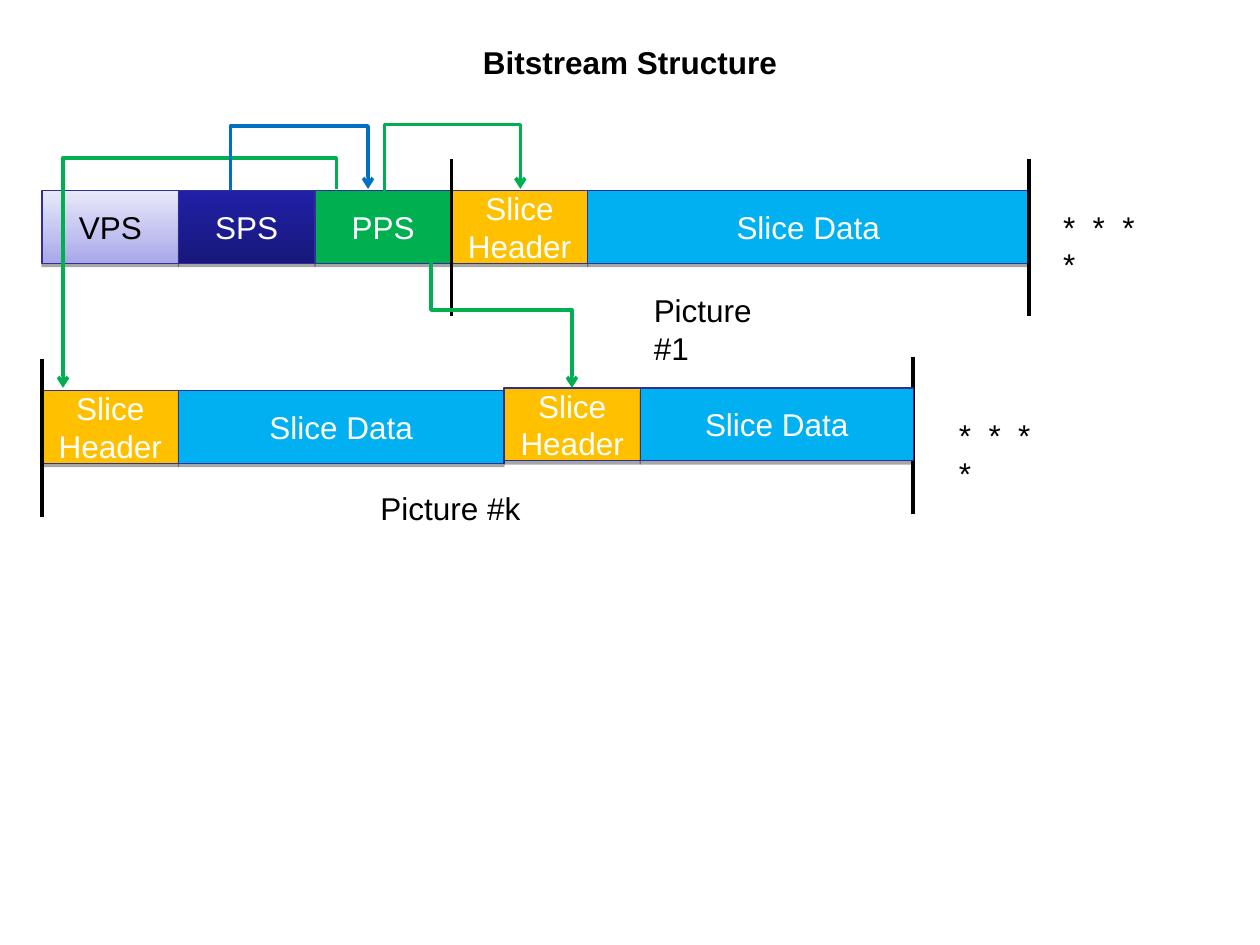
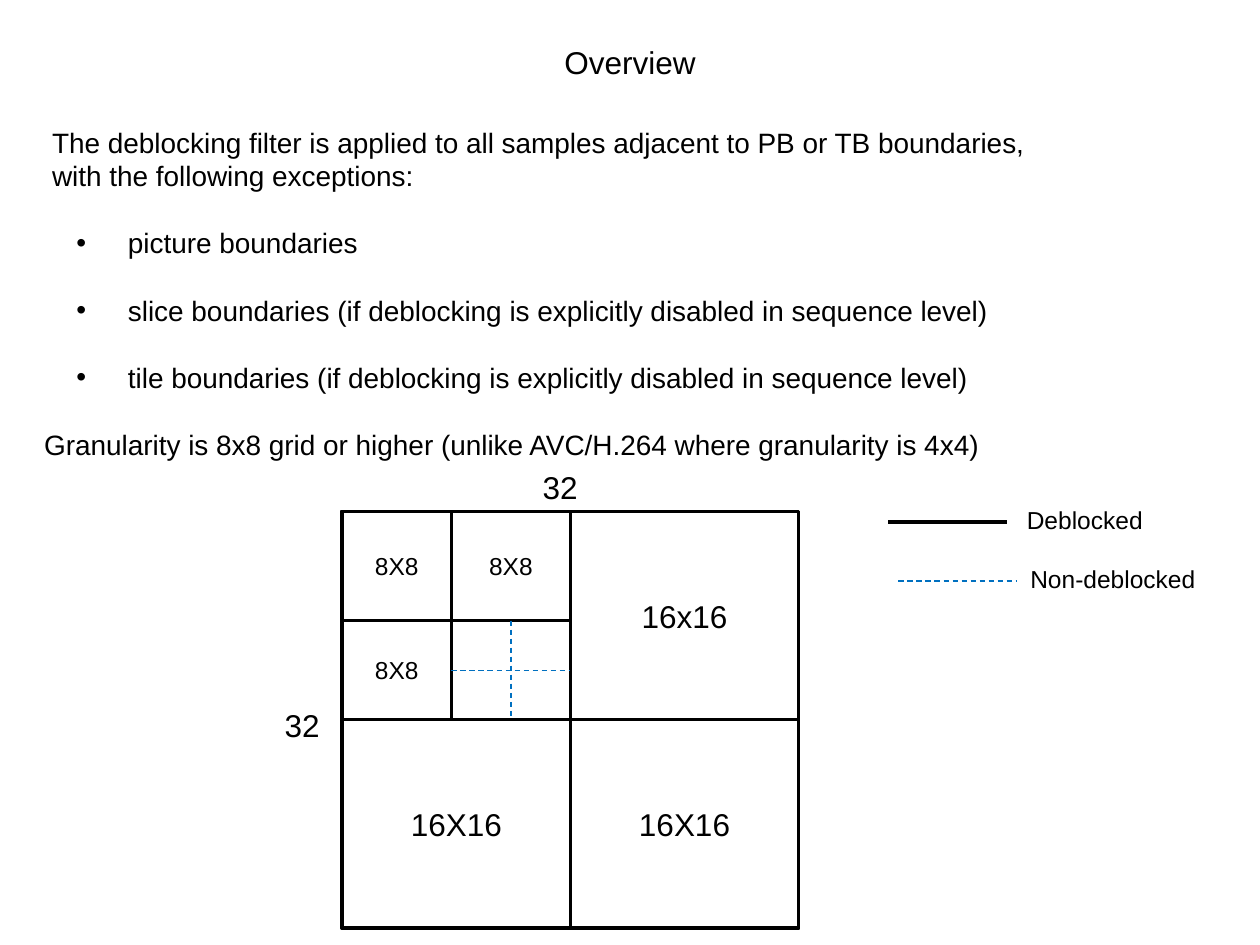
from lxml import etree
from pptx import Presentation
from pptx import util as u
from pptx.dml.color import RGBColor
from pptx.enum import dml, shapes, text
from pptx.oxml import ns

FONT = "Arial"
COLORS = {
    "black": "000000", "white": "FFFFFF", "outline": "2F2F98",
    "green": "00B050", "amber": "FFC000", "sky": "00B0F0", "blue": "0070C0",
    "lilac": "A8A8EA", "pale": "E8E8FA", "navy": "18187C", "indigo": "2020A6",
}

# Bitstream slide: all lengths in cm
UNIT_HEIGHT = 1.47
HEADER = ("Slice Header", 2.75, "amber", "white")
# Each row: left, top, units of (label, width, fill or gradient, font colour)
ROWS_BEHIND_BARS = [
    (0.85, 3.84, [("VPS", 2.75, ("lilac", "pale"), "black"),
                  ("SPS", 2.75, ("navy", "indigo"), "white"),
                  ("PPS", 2.75, "green", "white"),
                  HEADER,
                  ("Slice Data", 8.89, "sky", "white")]),
    (0.85, 7.87, [HEADER, ("Slice Data", 6.56, "sky", "white")]),
]
ROWS_OVER_BARS = [
    (10.16, 7.82, [HEADER, ("Slice Data", 5.5, "sky", "white")]),
]
BAR_HEIGHT = 3.18
PICTURE_BARS = [(9.1, 3.2), (20.74, 3.2), (0.85, 7.24), (18.41, 7.19)]
PICTURE_LABELS = [("Picture #1", 12.93, 5.74, 3.35),
                  ("Picture #k", 7.42, 9.73, 3.33)]
CONTINUATIONS = [(21.18, 4.06), (19.08, 8.26)]
# Start, end, height of the horizontal part, colour
REFERENCES = [
    ((7.75, 3.86), (10.49, 3.81), 2.51, "green"),
    ((6.78, 3.81), (1.27, 7.82), 3.18, "green"),
    ((8.69, 4.65), (11.53, 7.82), 6.25, "green"),
    ((4.65, 3.84), (7.42, 3.81), 2.54, "blue"),
]

# Overview slide
# Each paragraph: text, left margin, first-line indent, space before, bullet
OVERVIEW = [
    ("The deblocking filter is applied to all samples adjacent to PB or TB boundaries,",
     0.16, 0, 0, False),
    ("with the following exceptions:", 0.16, 0, 0, False),
    ("picture boundaries", 1.69, -1.04, 19.2, True),
    ("slice boundaries (if deblocking is explicitly disabled in sequence level)",
     1.69, -1.04, 19.2, True),
    ("tile boundaries (if deblocking is explicitly disabled in sequence level)",
     1.69, -1.04, 19.2, True),
    ("Granularity is 8x8 grid or higher (unlike AVC/H.264 where granularity is 4x4)",
     0, 0, 19.2, False),
]
GRID_X = [6.9, 9.1, 11.5, 16.1]
GRID_Y = [10.31, 12.51, 14.51, 18.71]
# Left, top, right, bottom grid lines, label, text size
BLOCKS = [
    (0, 0, 3, 3, "", 18),
    (0, 0, 2, 2, "", 18),
    (2, 0, 3, 2, "16x16", 18),
    (0, 2, 2, 3, "16X16", 18),
    (2, 2, 3, 3, "16X16", 18),
    (0, 0, 1, 1, "8X8", 14),
    (1, 0, 2, 1, "8X8", 14),
    (0, 1, 1, 2, "8X8", 14),
]
SIZE_LABELS = [("32", 5.49, 14.1, 1.22), ("32", 10.69, 9.32, 1.22)]
# Label, label left, label top, label width, line left, line y, colour, width, dashed
LEGEND = [
    ("Deblocked", 20.45, 10.06, 2.84, 17.91, 10.52, "black", 2.25, False),
    ("Non-deblocked", 20.52, 11.25, 3.84, 18.11, 11.71, "blue", 0.75, True),
]
LEGEND_LENGTH = 2.38


def color(name):
    return RGBColor.from_string(COLORS[name])


def add_xml(parent, tag, **attributes):
    return etree.SubElement(parent, ns.qn(tag), attributes)


def write(paragraph, words, size, font_color="black", bold=False):
    run = paragraph.add_run()
    run.text = words
    run.font.name, run.font.size, run.font.bold = FONT, u.Pt(size), bold
    run.font.color.rgb = color(font_color)
    return run


def add_titled_slide(presentation, words, bold=False):
    slide = presentation.slides.add_slide(presentation.slide_layouts[5])
    title = slide.shapes.title
    title.left, title.top = u.Cm(1.27), u.Cm(0.2)
    title.width, title.height = u.Cm(22.86), u.Cm(2.11)
    title.text_frame.vertical_anchor = text.MSO_ANCHOR.MIDDLE
    paragraph = title.text_frame.paragraphs[0]
    paragraph.alignment = text.PP_ALIGN.CENTER
    write(paragraph, words, 18, bold=bold)
    return slide


def add_box(slide, left, top, width, height, fill, outline, line_width,
            label, size, font_color="black"):
    shape = slide.shapes.add_shape(shapes.MSO_SHAPE.RECTANGLE, u.Cm(left), u.Cm(top),
                                   u.Cm(width), u.Cm(height))
    shape.shadow.inherit = False
    if isinstance(fill, tuple):
        shape.fill.gradient()
        shape.fill.gradient_angle = 90
        for stop, name in zip(shape.fill.gradient_stops, fill):
            stop.color.rgb = color(name)
    else:
        shape.fill.solid()
        shape.fill.fore_color.rgb = color(fill)
    shape.line.color.rgb = color(outline)
    shape.line.width = u.Pt(line_width)
    if label:
        shape.text_frame.vertical_anchor = text.MSO_ANCHOR.MIDDLE
        paragraph = shape.text_frame.paragraphs[0]
        paragraph.alignment = text.PP_ALIGN.CENTER
        write(paragraph, label, size, font_color)
    return shape


def add_label(slide, words, left, top, width, size=18):
    box = slide.shapes.add_textbox(u.Cm(left), u.Cm(top), u.Cm(width), u.Cm(1))
    box.text_frame.word_wrap = False
    return write(box.text_frame.paragraphs[0], words, size)


def add_line(slide, start, end, line_color, width, dashed=False,
             kind=shapes.MSO_CONNECTOR.STRAIGHT):
    line = slide.shapes.add_connector(kind, *(u.Cm(value) for value in (*start, *end)))
    line.line.color.rgb = color(line_color)
    line.line.width = u.Pt(width)
    if dashed:
        line.line.dash_style = dml.MSO_LINE.DASH
    add_xml(line.element.spPr, "a:effectLst")
    return line


def add_reference(slide, start, end, via_y, line_color):
    """Elbow arrow that leaves vertically, crosses at via_y and arrives vertically."""
    arrow = add_line(slide, start, end, line_color, 2, kind=shapes.MSO_CONNECTOR.ELBOW)
    (x1, y1), (x2, y2) = start, end
    rightward, upward = x2 > x1, y2 < y1
    # The frame is turned a quarter, so its width is the vertical distance
    width, height = abs(y2 - y1), abs(x2 - x1)
    arrow.left, arrow.top = u.Cm((x1 + x2 - width) / 2), u.Cm((y1 + y2 - height) / 2)
    arrow.width, arrow.height = u.Cm(width), u.Cm(height)
    properties = arrow.element.spPr
    frame = properties.find(ns.qn("a:xfrm"))
    turn = 270 if rightward and not upward else 90
    frame.set("rot", str(turn * 60000))
    frame.set("flipH", str(int(rightward)))
    frame.set("flipV", str(int(upward)))
    geometry = properties.find(ns.qn("a:prstGeom"))
    adjustments = geometry.find(ns.qn("a:avLst"))
    if adjustments is None:
        adjustments = add_xml(geometry, "a:avLst")
    bend = round((via_y - y1) / (y2 - y1) * 100000)
    add_xml(adjustments, "a:gd", name="adj1", fmla=f"val {bend}")
    add_xml(properties.find(ns.qn("a:ln")), "a:tailEnd", type="arrow")


def add_units(slide, rows):
    for left, top, units in rows:
        for label, width, fill, font_color in units:
            unit = add_box(slide, left, top, width, UNIT_HEIGHT, fill, "outline", 0.75,
                           label, 18, font_color)
            effects = unit.element.spPr.find(ns.qn("a:effectLst"))
            shadow = add_xml(effects, "a:outerShdw", blurRad="0", dist="22860",
                             dir="5400000", rotWithShape="0")
            shade = add_xml(shadow, "a:srgbClr", val=COLORS["black"])
            add_xml(shade, "a:alpha", val="35000")
            left += width


def build_bitstream(presentation):
    slide = add_titled_slide(presentation, "Bitstream Structure", bold=True)
    # Rows of units and the bars that bound each picture
    add_units(slide, ROWS_BEHIND_BARS)
    for x, top in PICTURE_BARS:
        add_line(slide, (x, top), (x, top + BAR_HEIGHT), "black", 2)
    add_units(slide, ROWS_OVER_BARS)
    # Labels
    for label in PICTURE_LABELS:
        add_label(slide, *label)
    for left, top in CONTINUATIONS:
        stars = add_label(slide, "* * * *", left, top, 2.54)
        stars.font._element.set("spc", "250")
    # Which unit refers to which
    for reference in REFERENCES:
        add_reference(slide, *reference)


def build_overview(presentation):
    slide = add_titled_slide(presentation, "Overview")
    # Text
    frame = slide.shapes.add_textbox(u.Cm(0.64), u.Cm(2.4), u.Cm(23.93),
                                     u.Cm(7)).text_frame
    frame.word_wrap = True
    for index, (words, margin, indent, before, bullet) in enumerate(OVERVIEW):
        paragraph = frame.add_paragraph() if index else frame.paragraphs[0]
        paragraph.line_spacing = u.Pt(19.2)
        paragraph.space_before = u.Pt(before)
        properties = paragraph._p.get_or_add_pPr()
        properties.set("marL", str(u.Cm(margin)))
        properties.set("indent", str(u.Cm(indent)))
        if bullet:
            add_xml(properties, "a:buFont", typeface=FONT)
            add_xml(properties, "a:buChar", char="•")
        write(paragraph, words, 16)

    # Block partition
    blocks = {}
    for left, top, right, bottom, label, size in BLOCKS:
        x, y = GRID_X[left], GRID_Y[top]
        blocks[left, top, right, bottom] = add_box(
            slide, x, y, GRID_X[right] - x, GRID_Y[bottom] - y,
            "white", "black", 2, label, size)
    middle_x, middle_y = sum(GRID_X[1:3]) / 2, sum(GRID_Y[1:3]) / 2
    vertical = add_line(slide, (middle_x, GRID_Y[1]), (middle_x, GRID_Y[2]),
                        "blue", 0.75, dashed=True)
    vertical.begin_connect(blocks[1, 0, 2, 1], 2)
    horizontal = add_line(slide, (GRID_X[1], middle_y), (GRID_X[2], middle_y),
                          "blue", 0.75, dashed=True)
    horizontal.begin_connect(blocks[0, 1, 1, 2], 3)
    for label in SIZE_LABELS:
        add_label(slide, *label)

    # Legend
    for label, left, top, width, x, y, line_color, line_width, dashed in LEGEND:
        add_line(slide, (x, y), (x + LEGEND_LENGTH, y), line_color, line_width, dashed)
        add_label(slide, label, left, top, width, 14)


def main():
    presentation = Presentation()
    presentation.slide_width, presentation.slide_height = u.Cm(25.4), u.Cm(19.05)
    build_bitstream(presentation)
    build_overview(presentation)
    presentation.save("out.pptx")


if __name__ == "__main__":
    main()
